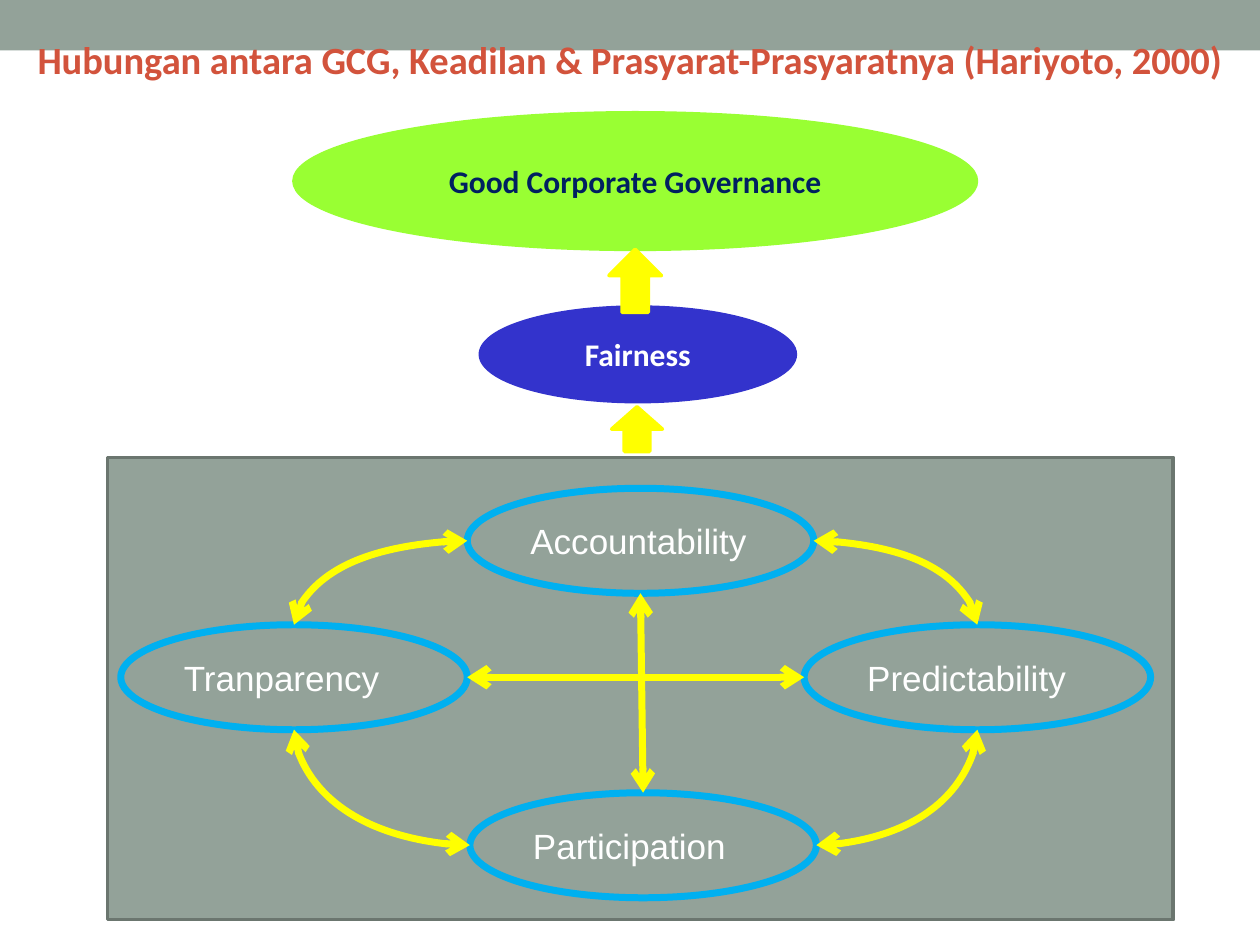
"""Build the slide linking good corporate governance, fairness and its prerequisites."""
from dataclasses import dataclass

from lxml import etree
from pptx import Presentation
from pptx.dml.color import RGBColor
from pptx.enum.shapes import MSO_CONNECTOR, MSO_SHAPE
from pptx.enum.text import MSO_ANCHOR, MSO_AUTO_SIZE, PP_ALIGN
from pptx.oxml.ns import qn
from pptx.util import Pt

RECTANGLE, OVAL, UP_ARROW = MSO_SHAPE.RECTANGLE, MSO_SHAPE.OVAL, MSO_SHAPE.UP_ARROW
STRAIGHT, CURVE = MSO_CONNECTOR.STRAIGHT, MSO_CONNECTOR.CURVE
LEFT, CENTER, MIDDLE = PP_ALIGN.LEFT, PP_ALIGN.CENTER, MSO_ANCHOR.MIDDLE
TITLE_ONLY = 5

COLORS = {
    "sage": "93A299", "sage_edge": "6B766F", "red": "D2533C", "sky": "00B0F0",
    "yellow": "FFFF00", "blue": "3333CC", "lime": "99FF33", "navy": "002060",
    "white": "FFFFFF",
}
THIN, THICK = 2.07, 4


@dataclass(frozen=True)
class Area:
    """A rectangle in points, with the middles of its sides."""
    x: float
    y: float
    width: float
    height: float

    @property
    def left(self) -> tuple[float, float]:
        return self.x, self.y + self.height / 2

    @property
    def right(self) -> tuple[float, float]:
        return self.x + self.width, self.y + self.height / 2

    @property
    def top(self) -> tuple[float, float]:
        return self.x + self.width / 2, self.y

    @property
    def bottom(self) -> tuple[float, float]:
        return self.x + self.width / 2, self.y + self.height


@dataclass(frozen=True)
class Oval:
    """A labelled ellipse."""
    text: str
    area: Area
    fill: str
    edge: str
    color: str
    weight: float = THIN
    size: float = 18
    font: str = "Calibri"
    bold: bool = True
    align: PP_ALIGN = CENTER


def principle(text: str, x: float, y: float) -> Oval:
    """Describe one of the four prerequisite ellipses."""
    return Oval(text, Area(x, y, 198, 60), "sage", "sky", "white",
                weight=THICK, size=20, font="Arial", bold=False, align=LEFT)


ACCOUNTABILITY = principle("Accountability", 267, 279)
TRANSPARENCY = principle("Tranparency", 69, 357)
PARTICIPATION = principle("Participation", 268.5, 453)
PREDICTABILITY = principle("Predictability", 459.5, 357)
PRINCIPLES = (ACCOUNTABILITY, TRANSPARENCY, PARTICIPATION, PREDICTABILITY)
FAIRNESS = Oval("Fairness", Area(274.5, 175.5, 180, 54), "blue", "blue", "white")
GOVERNANCE = Oval("Good Corporate Governance", Area(168, 64.5, 390, 78),
                  "lime", "lime", "navy")


def rgb(name: str) -> RGBColor:
    """Look up a named colour."""
    return RGBColor.from_string(COLORS[name])


def write(frame, text: str, *, font: str, size: float, color: str,
          bold: bool, align: PP_ALIGN) -> None:
    """Put one formatted paragraph into a text frame."""
    frame.auto_size = MSO_AUTO_SIZE.NONE
    frame.word_wrap = True
    frame.vertical_anchor = MIDDLE
    para = frame.paragraphs[0]
    para.alignment = align
    span = para.add_run()
    span.text = text
    span.font.name = font
    span.font.size = Pt(size)
    span.font.bold = bold
    span.font.color.rgb = rgb(color)


def add_block(page, kind: MSO_SHAPE, area: Area, fill: str,
              edge: str | None = None, weight: float = THIN):
    """Add a flat filled shape, outlined when an edge colour is given."""
    shape = page.shapes.add_shape(kind, Pt(area.x), Pt(area.y),
                                  Pt(area.width), Pt(area.height))
    shape.shadow.inherit = False
    shape.fill.solid()
    shape.fill.fore_color.rgb = rgb(fill)
    if edge:
        shape.line.color.rgb = rgb(edge)
        shape.line.width = Pt(weight)
    else:
        shape.line.fill.background()
    return shape


def add_oval(page, oval: Oval) -> None:
    """Add a labelled ellipse."""
    shape = add_block(page, OVAL, oval.area, oval.fill, oval.edge, oval.weight)
    write(shape.text_frame, oval.text, font=oval.font, size=oval.size,
          color=oval.color, bold=oval.bold, align=oval.align)


def add_link(page, kind: MSO_CONNECTOR, start: tuple[float, float],
             end: tuple[float, float]) -> None:
    """Add a double-headed connector; a curve leaves sideways and ends upright."""
    link = page.shapes.add_connector(kind, *(Pt(value) for value in start + end))
    link.line.color.rgb = rgb("yellow")
    link.line.width = Pt(THICK)
    properties = link.element.spPr
    if kind == CURVE:
        properties.find(qn("a:prstGeom")).set("prst", "curvedConnector2")
    outline = properties.find(qn("a:ln"))
    for end_name in ("a:headEnd", "a:tailEnd"):
        etree.SubElement(outline, qn(end_name), type="arrow")
    etree.SubElement(properties, qn("a:effectLst"))


def add_title(page, text: str) -> None:
    """Fill the title and lay the header bar behind it."""
    title = page.shapes.title
    title.left, title.top, title.width, title.height = Pt(0), Pt(-11.5), Pt(720), Pt(90)
    write(title.text_frame, text, font="Calibri", size=22, color="red",
          bold=True, align=CENTER)
    bar = add_block(page, RECTANGLE, Area(0, 0, 720, 28.8), "sage")
    title.element.addprevious(bar.element)


def add_principles(page) -> None:
    """Add the panel of four linked prerequisites."""
    add_block(page, RECTANGLE, Area(61.5, 261.5, 609, 264), "sage", "sage_edge")
    for oval in PRINCIPLES:
        add_oval(page, oval)
    north, west, south, east = (oval.area for oval in PRINCIPLES)
    add_link(page, STRAIGHT, west.right, east.left)
    add_link(page, STRAIGHT, north.bottom, south.top)
    add_link(page, CURVE, north.left, west.top)
    add_link(page, CURVE, north.right, east.top)
    add_link(page, CURVE, south.right, east.bottom)
    add_link(page, CURVE, south.left, west.bottom)


def main() -> None:
    """Compose and save the deck."""
    deck = Presentation()
    deck.slide_width, deck.slide_height = Pt(720), Pt(540)
    page = deck.slides.add_slide(deck.slide_layouts[TITLE_ONLY])
    add_title(page, "Hubungan antara GCG, Keadilan & Prasyarat-Prasyaratnya (Hariyoto, 2000)")
    add_principles(page)
    add_block(page, UP_ARROW, Area(349.5, 232.5, 29, 25.5), "yellow", "yellow")
    add_oval(page, FAIRNESS)
    add_oval(page, GOVERNANCE)
    add_block(page, UP_ARROW, Area(348, 142.5, 30, 36), "yellow", "yellow")
    deck.save("out.pptx")


if __name__ == "__main__":
    main()
